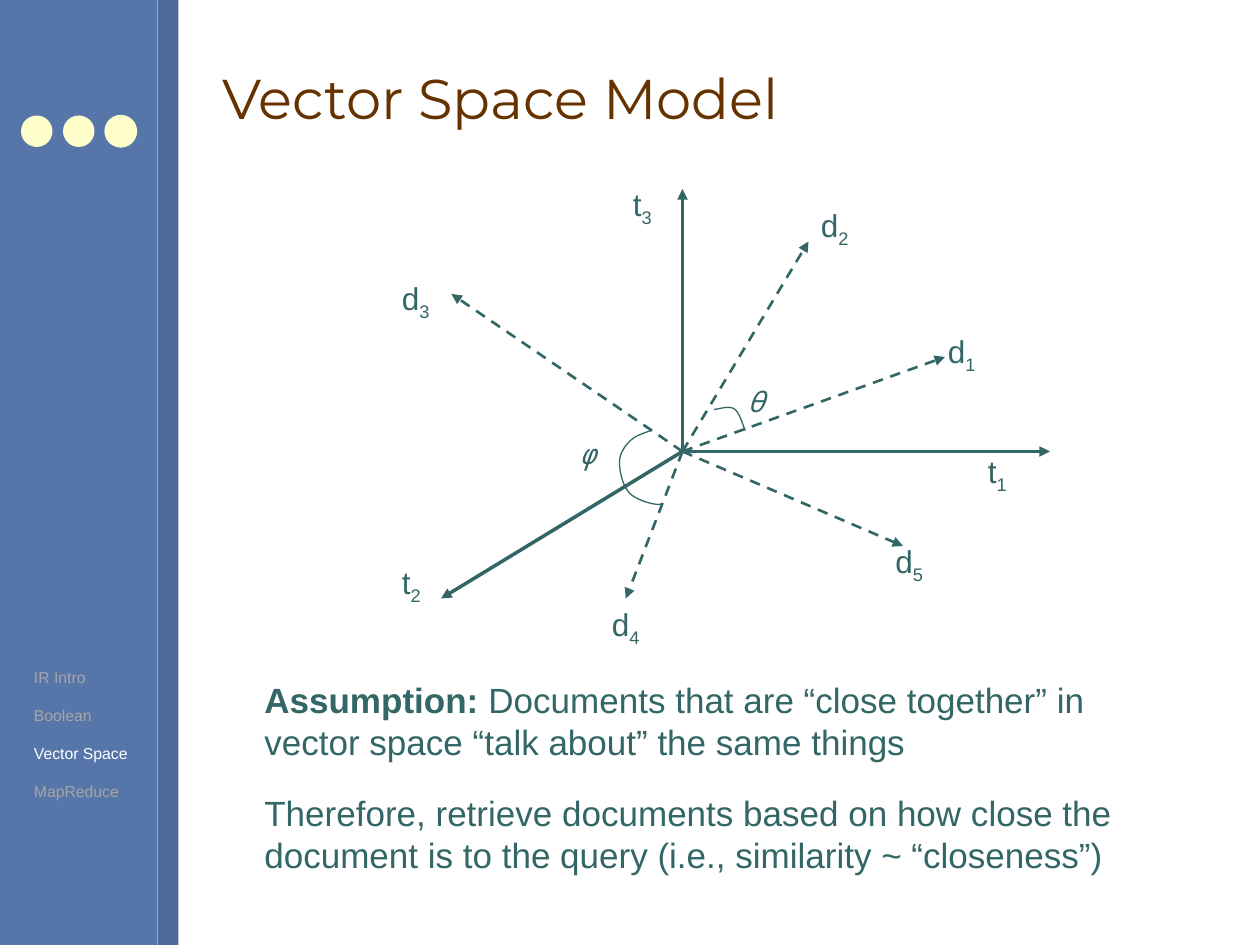
from typing import NamedTuple, Optional

from lxml import etree
from pptx import Presentation
from pptx import util as u
from pptx.dml.color import RGBColor
from pptx.enum import dml, shapes, text
from pptx.oxml.ns import qn

TEAL = RGBColor(0x33, 0x66, 0x66)
BROWN = RGBColor(0x66, 0x33, 0x00)
BLUE = RGBColor(0x56, 0x75, 0xA9)
DARK_BLUE = RGBColor(0x4D, 0x69, 0x97)
CREAM = RGBColor(0xFF, 0xFF, 0xCC)
GREY = RGBColor(0xA6, 0xA6, 0xA6)
WHITE = RGBColor(0xFF, 0xFF, 0xFF)

CELL = u.Inches(1) // 12  # the slide is a grid of 120 columns by 90 rows
COLUMNS, ROWS = 120, 90
ORIGIN = (65, 43)


class Style(NamedTuple):
    size: float
    color: RGBColor = TEAL
    font: str = "Arial"
    bold: bool = False
    italic: bool = False


class Vector(NamedTuple):
    letter: str
    index: str
    tip: tuple[float, float]
    label: tuple[float, float]

    @property
    def is_axis(self) -> bool:
        return self.letter == "t"


class Angle(NamedTuple):
    symbol: str
    label: tuple[float, float]
    curve: list[tuple[float, float]]  # start, then three Bézier points per piece


VECTORS = [
    Vector("t", "1", (100, 43), (92.9, 42.5)),
    Vector("t", "3", (65, 18), (59.1, 17)),
    Vector("t", "2", (42, 57), (37.1, 53)),
    Vector("d", "1", (90, 34), (89.1, 31)),
    Vector("d", "5", (86, 52), (84.1, 51)),
    Vector("d", "2", (77, 23), (77, 19)),
    Vector("d", "4", (59.6, 57), (57.1, 57)),
    Vector("d", "3", (43, 28), (37.1, 26)),
]
ANGLES = [
    Angle("θ", (70, 36),
          [(68, 39), (68.8, 38.9), (69.5, 38.6), (70, 39),
           (70.5, 39.4), (70.8, 40.7), (71, 41)]),
    Angle("φ", (54, 41),
          [(62, 41), (61.2, 41.3), (60.5, 41.5), (60, 42),
           (59.5, 42.5), (59, 43.2), (59, 44),
           (59, 44.9), (59.3, 46.3), (60, 47),
           (60.7, 47.7), (62.6, 48.2), (63, 48)]),
]
SECTIONS = ["IR Intro", "Boolean", "Vector Space", "MapReduce"]
CURRENT_SECTION = "Vector Space"
STATEMENTS = [
    (64, [("Assumption: ", True),
          ("Documents that are “close together” in vector space "
           "“talk about” the same things", False)]),
    (74.8, [("Therefore, retrieve documents based on how close the document "
             "is to the query (i.e., similarity ~ “closeness”)", False)]),
]


def cells(*counts: float) -> list[u.Emu]:
    return [u.Emu(round(count * CELL)) for count in counts]


def add_run(paragraph, words: str, style: Style):
    run = paragraph.add_run()
    run.text = words
    font = run.font
    font.size, font.name = u.Pt(style.size), style.font
    font.bold, font.italic = style.bold, style.italic
    font.color.rgb = style.color
    return run


def add_box(slide, left: float, top: float, width: float, height: float,
            wrap: bool = False):
    frame = slide.shapes.add_textbox(*cells(left, top, width, height)).text_frame
    frame.word_wrap = wrap
    frame.auto_size = text.MSO_AUTO_SIZE.SHAPE_TO_FIT_TEXT
    return frame


def add_block(slide, kind, area: tuple[float, float, float, float],
              color: RGBColor, outline: Optional[float] = None) -> None:
    block = slide.shapes.add_shape(kind, *cells(*area))
    block.shadow.inherit = False
    block.fill.solid()
    block.fill.fore_color.rgb = color
    if outline is None:
        block.line.fill.background()
    else:
        block.line.color.rgb = color
        block.line.width = u.Pt(outline)


def add_vector(slide, vector: Vector) -> None:
    arrow = slide.shapes.add_connector(
        shapes.MSO_CONNECTOR.STRAIGHT, *cells(*ORIGIN, *vector.tip))
    arrow.line.color.rgb = TEAL
    arrow.line.width = u.Pt(2 if vector.is_axis else 1.5)
    if not vector.is_axis:
        arrow.line.dash_style = dml.MSO_LINE.DASH
    etree.SubElement(arrow.line._get_or_add_ln(), qn("a:tailEnd"), type="triangle")
    etree.SubElement(arrow._element.spPr, qn("a:effectLst"))

    width = 4.2 if vector.is_axis else 5
    label = add_box(slide, *vector.label, width, 5.3).paragraphs[0]
    add_run(label, vector.letter, Style(18))
    index = add_run(label, vector.index, Style(18))
    index.font._element.set("baseline", "-25000")


def bezier(points: list[tuple[float, float]], steps: int = 12):
    for start in range(0, len(points) - 1, 3):
        piece = points[start:start + 4]
        for step in range(1, steps + 1):
            t = step / steps
            weights = ((1 - t) ** 3, 3 * t * (1 - t) ** 2, 3 * t * t * (1 - t), t ** 3)
            yield tuple(sum(w * point[axis] for w, point in zip(weights, piece))
                        for axis in (0, 1))


def add_angle(slide, angle: Angle) -> None:
    builder = slide.shapes.build_freeform(*cells(*angle.curve[0]))
    builder.add_line_segments([cells(*point) for point in bezier(angle.curve)],
                              close=False)
    arc = builder.convert_to_shape()
    arc.shadow.inherit = False
    arc.fill.background()
    arc.line.color.rgb = TEAL
    arc.line.width = u.Pt(0.75)
    label = add_box(slide, *angle.label, 3.6, 4.4, wrap=True)
    add_run(label.paragraphs[0], angle.symbol,
            Style(16, font="Noto Sans Mono", italic=True))


def main() -> None:
    deck = Presentation()
    deck.slide_width, deck.slide_height = cells(COLUMNS, ROWS)
    slide = deck.slides.add_slide(deck.slide_layouts[5])

    # Sidebar with three dots, the last one outlined
    add_block(slide, shapes.MSO_SHAPE.RECTANGLE, (0, 0, 15, ROWS), BLUE)
    add_block(slide, shapes.MSO_SHAPE.RECTANGLE, (15, 0, 2, ROWS), DARK_BLUE)
    for dot, outline in enumerate((None, None, 0.75)):
        add_block(slide, shapes.MSO_SHAPE.OVAL, (2 + 4 * dot, 11, 3, 3), CREAM, outline)

    # Title
    title = slide.shapes.title
    title.left, title.top, title.width, title.height = cells(20, 2.5, 96, 13.5)
    title.text_frame.vertical_anchor = text.MSO_ANCHOR.MIDDLE
    heading = title.text_frame.paragraphs[0]
    heading.alignment = text.PP_ALIGN.LEFT
    add_run(heading, "Vector Space Model", Style(32, BROWN, "Montserrat"))

    # Axes, document vectors and the angles between them
    for vector in VECTORS:
        add_vector(slide, vector)
    for angle in ANGLES:
        add_angle(slide, angle)

    # Statements below the diagram
    for top, parts in STATEMENTS:
        statement = add_box(slide, 24, top, 90, 9.2, wrap=True).paragraphs[0]
        for words, bold in parts:
            add_run(statement, words, Style(20, bold=bold))

    # Section list in the sidebar
    section_list = add_box(slide, 2.05, 63, 11.4, 13.9)
    for number, section in enumerate(SECTIONS):
        entry = section_list.add_paragraph() if number else section_list.paragraphs[0]
        if number:
            entry.space_before = u.Pt(10.9)
        add_run(entry, section, Style(9, WHITE if section == CURRENT_SECTION else GREY))

    deck.save("out.pptx")


if __name__ == "__main__":
    main()
